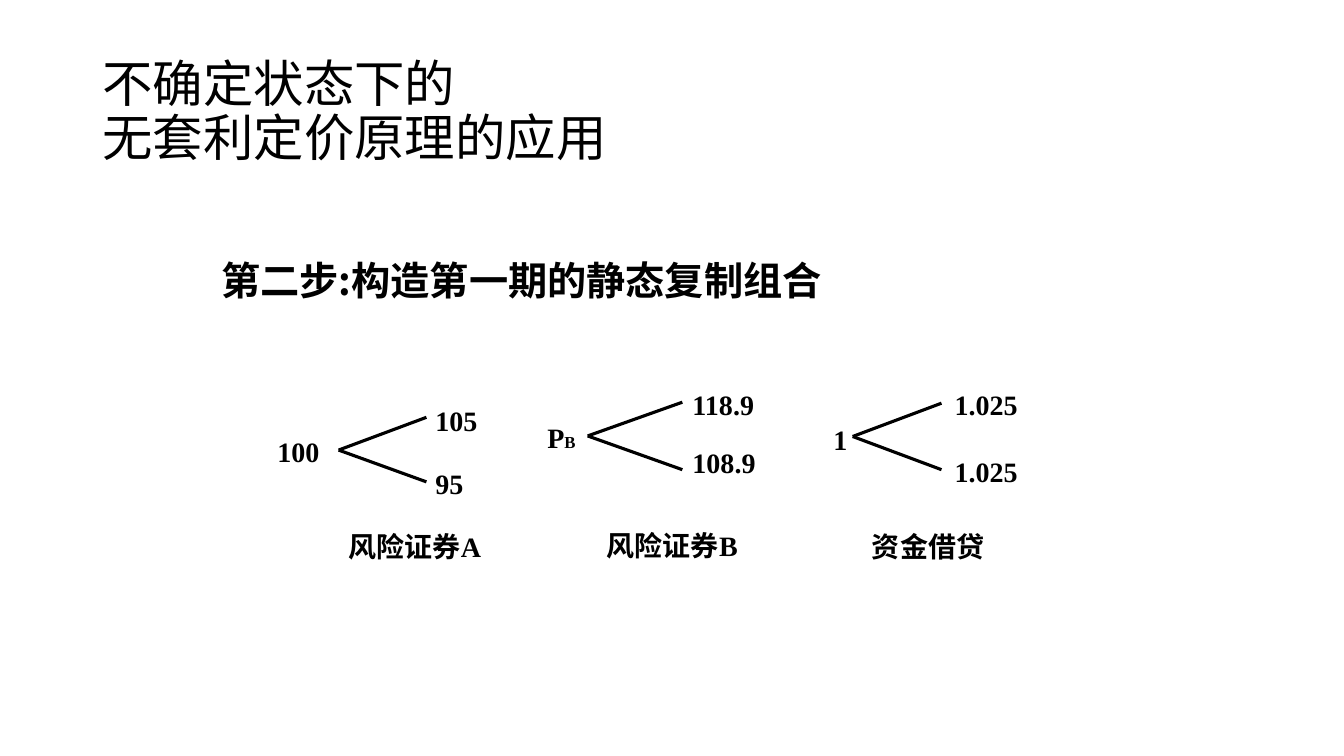
from dataclasses import dataclass

from lxml import etree
from pptx import Presentation
from pptx.dml.color import RGBColor
from pptx.enum.shapes import MSO_CONNECTOR
from pptx.enum.text import MSO_ANCHOR, PP_ALIGN
from pptx.oxml.ns import qn
from pptx.shapes.shapetree import _BaseGroupShapes
from pptx.util import Pt

STRAIGHT = MSO_CONNECTOR.STRAIGHT
TOP, MIDDLE = MSO_ANCHOR.TOP, MSO_ANCHOR.MIDDLE
LEFT, JUSTIFY = PP_ALIGN.LEFT, PP_ALIGN.JUSTIFY

COLORS = {"ink": "000000"}
CHINESE_FONT = "Noto Sans CJK SC"
NUMBER_FONT = "Times New Roman"
DEFAULT_MARGINS = (7.2, 3.6)
LABEL_MARGINS = (1.44, 0.72)

Box = tuple[float, float, float, float]


@dataclass
class Label:
    text: str
    box: Box
    subscript: str = ""
    margins: tuple[float, float] = LABEL_MARGINS


@dataclass
class PriceTree:
    """One-period tree: a price now, two prices later and a caption."""
    apex: tuple[float, float]
    end_x: float
    end_ys: tuple[float, float]
    labels: list[Label]


TREES = [
    PriceTree((241.9, 321.5), 304.6, (298.1, 344.2), [
        Label("100", (196.6, 309.6, 41.8, 31)),
        Label("105", (309.6, 287.3, 60.5, 27.4)),
        Label("95", (309.6, 332.6, 51.8, 23)),
        Label("风险证券A", (247.7, 377.3, 113, 28.1)),
    ]),
    PriceTree((419.8, 311.4), 487.4, (287.3, 335.5), [
        Label("P", (389.5, 299.5, 30.2, 30.2), subscript="B"),
        Label("118.9", (493.2, 275.8, 51.1, 24.5)),
        Label("108.9", (493.2, 317.5, 54.7, 33.8)),
        Label("风险证券B", (432, 376.6, 110.2, 29.5)),
    ]),
    PriceTree((609.1, 311.8), 672.5, (288, 335.5), [
        Label("1", (565.2, 301, 46.8, 27.4), margins=(30, 0.72)),
        Label("1.025", (680.4, 275.8, 75.6, 33.8)),
        Label("1.025", (680.4, 324, 69.1, 31)),
        Label("资金借贷", (621.4, 377.3, 102.2, 28.1)),
    ]),
]


def add_text(shapes: _BaseGroupShapes, text: str, box: Box, *, size: float,
             font: str = CHINESE_FONT, bold: bool = False, subscript: str = "",
             align: PP_ALIGN = LEFT, anchor: MSO_ANCHOR = TOP,
             margins: tuple[float, float] = DEFAULT_MARGINS,
             line_spacing: float = 1.0) -> None:
    """Margins are (left, top); the right one never exceeds the default."""
    frame = shapes.add_textbox(*map(Pt, box)).text_frame
    frame.word_wrap = True
    frame.vertical_anchor = anchor
    frame.margin_left = Pt(margins[0])
    frame.margin_right = Pt(min(margins[0], DEFAULT_MARGINS[0]))
    frame.margin_top = frame.margin_bottom = Pt(margins[1])
    paragraph = frame.paragraphs[0]
    paragraph.alignment = align
    paragraph.line_spacing = line_spacing

    def add_run(words: str, run_size: float) -> None:
        run = paragraph.add_run()
        run.text = words
        run.font.size = Pt(run_size)
        run.font.bold = bold
        run.font.name = font
        run.font.color.rgb = RGBColor.from_string(COLORS["ink"])
        east_asian = etree.SubElement(run.font._element, qn("a:ea"))
        east_asian.set("typeface", CHINESE_FONT)

    for index, line in enumerate(text.split("\n")):
        if index:
            paragraph.add_line_break()
        add_run(line, size)
    if subscript:
        add_run(subscript, 12)


def add_branch(shapes: _BaseGroupShapes, start: tuple[float, float],
               end: tuple[float, float]) -> None:
    branch = shapes.add_connector(STRAIGHT, *map(Pt, (*start, *end)))
    branch.line.width = Pt(2.25)
    branch.line.color.rgb = RGBColor.from_string(COLORS["ink"])
    etree.SubElement(branch._element.spPr, qn("a:effectLst"))


def add_price_tree(shapes: _BaseGroupShapes, tree: PriceTree) -> None:
    group = shapes.add_group_shape()
    for label in tree.labels:
        add_text(group.shapes, label.text, label.box, size=20, font=NUMBER_FONT,
                 bold=True, subscript=label.subscript, align=JUSTIFY,
                 margins=label.margins)
    for end_y in tree.end_ys:
        add_branch(group.shapes, tree.apex, (tree.end_x, end_y))


def main() -> None:
    presentation = Presentation()
    presentation.slide_width, presentation.slide_height = Pt(960), Pt(540)
    slide = presentation.slides.add_slide(presentation.slide_layouts[6])
    add_text(slide.shapes, "不确定状态下的\n无套利定价原理的应用",
             (66.2, 28.8, 828, 104.4), size=36, anchor=MIDDLE, line_spacing=0.9)
    for tree in TREES:
        add_price_tree(slide.shapes, tree)
    add_text(slide.shapes, "第二步:构造第一期的静态复制组合",
             (151.2, 179.3, 544.3, 41), size=28, bold=True)
    presentation.save("out.pptx")


if __name__ == "__main__":
    main()
